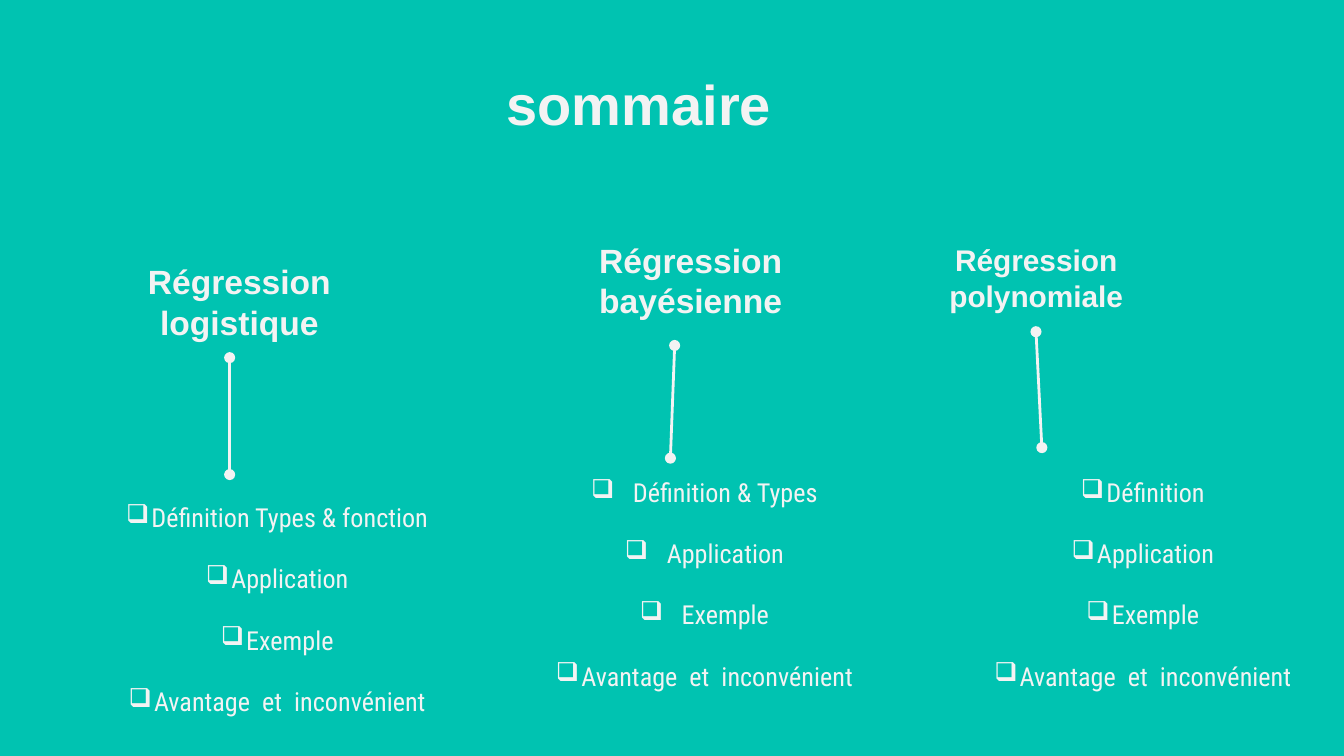
from pptx import Presentation as Deck
from pptx.dml.color import RGBColor as RGB
from pptx.enum.shapes import MSO_CONNECTOR as Link
from pptx.enum.text import MSO_ANCHOR as Anchor, MSO_AUTO_SIZE as Fit, PP_ALIGN as Align
from pptx.oxml.ns import qn
from pptx.util import Cm, Pt
from lxml.etree import SubElement as Sub

TEAL = RGB(0x00, 0xC3, 0xB1)
PALE = RGB(0xF3, 0xF3, 0xF3)
WIDE = (2.06, -0.79)
TIGHT = (1.75, -0.48)
LAST = "Avantage  et  inconvénient"

COLS = [
    dict(head="Régression logistique", size=18, gap=0, spot=(2.39, 4.75),
         line=(4.34, 6.76, 4.34, 8.97), box=(0.58, 9.14, 8.05, 4.75),
         first="Définition Types & fonction", dent=TIGHT),
    dict(head="Régression bayésienne", size=18, gap=16, spot=(10.92, 4.34),
         line=(12.75, 6.53, 12.67, 8.66), box=(8.64, 8.66, 8.08, 4.75),
         first="Définition & Types", dent=WIDE),
    dict(head="Régression polynomiale", size=16, gap=0, spot=(17.45, 4.29),
         line=(19.58, 6.27, 19.69, 8.46), box=(17.17, 8.66, 7.59, 4.75),
         first="Définition", dent=TIGHT),
]


def style(item, form):
    for key, val in form.items():
        setattr(item, key, val)


def frame(shape, anchor, pad):
    text = shape.text_frame
    style(text, dict(word_wrap=True, auto_size=Fit.NONE, vertical_anchor=anchor,
                     margin_left=pad, margin_right=pad,
                     margin_top=pad, margin_bottom=pad))
    return text


def write(para, text, size, face, bold, before=0, after=0):
    style(para, dict(alignment=Align.CENTER, space_before=Pt(before),
                     space_after=Pt(after)))
    run = para.add_run()
    run.text = text
    style(run.font, dict(size=Pt(size), name=face, bold=bold))
    run.font.color.rgb = PALE


def bullet(para, dent):
    props = para._p.get_or_add_pPr()
    for key, val in zip(("marL", "indent"), dent):
        props.set(key, str(int(Cm(val))))
    tint = Sub(props, qn("a:buClr"))
    Sub(tint, qn("a:srgbClr")).set("val", str(PALE))
    Sub(props, qn("a:buChar")).set("char", "❑")


def title(slide, box):
    shape = slide.shapes.title
    style(shape, dict(zip(("left", "top", "width", "height"), map(Cm, box))))
    text = frame(shape, Anchor.TOP, Cm(0.25))
    write(text.paragraphs[0], "sommaire", 30, "Arial", True)


def header(slide, box, text, size, gap):
    shape = slide.shapes.add_textbox(*map(Cm, box))
    para = frame(shape, Anchor.MIDDLE, Cm(0)).paragraphs[0]
    write(para, text, size, "Arial", True, gap, gap)


def stem(slide, ends):
    line = slide.shapes.add_connector(Link.STRAIGHT, *map(Cm, ends))
    line.line.color.rgb = PALE
    line.line.width = Pt(1.5)
    stroke = line.line._get_or_add_ln()
    for end in ("a:headEnd", "a:tailEnd"):
        Sub(stroke, qn(end)).set("type", "oval")
    Sub(line._element.spPr, qn("a:effectLst"))


def topics(slide, box, first, dent):
    shape = slide.shapes.add_textbox(*map(Cm, box))
    text = frame(shape, Anchor.MIDDLE, Cm(0.25))
    for i, item in enumerate((first, "Application", "Exemple", LAST)):
        para = text.add_paragraph() if i else text.paragraphs[0]
        write(para, item, 14, "Roboto Condensed", False, 16)
        bullet(para, TIGHT if item == LAST else dent)


def column(slide, col):
    header(slide, (*col["spot"], 4.27, 1.9), col["head"], col["size"], col["gap"])
    stem(slide, col["line"])
    topics(slide, col["box"], col["first"], col["dent"])


def main():
    deck = Deck()
    style(deck, dict(slide_width=Cm(25.4), slide_height=Cm(14.29)))
    slide = deck.slides.add_slide(deck.slide_layouts[5])
    fill = slide.background.fill
    fill.solid()
    fill.fore_color.rgb = TEAL
    title(slide, (1.37, 1.07, 21.41, 1.6))
    for col in COLS:
        column(slide, col)
    deck.save("out.pptx")


if __name__ == "__main__":
    main()
